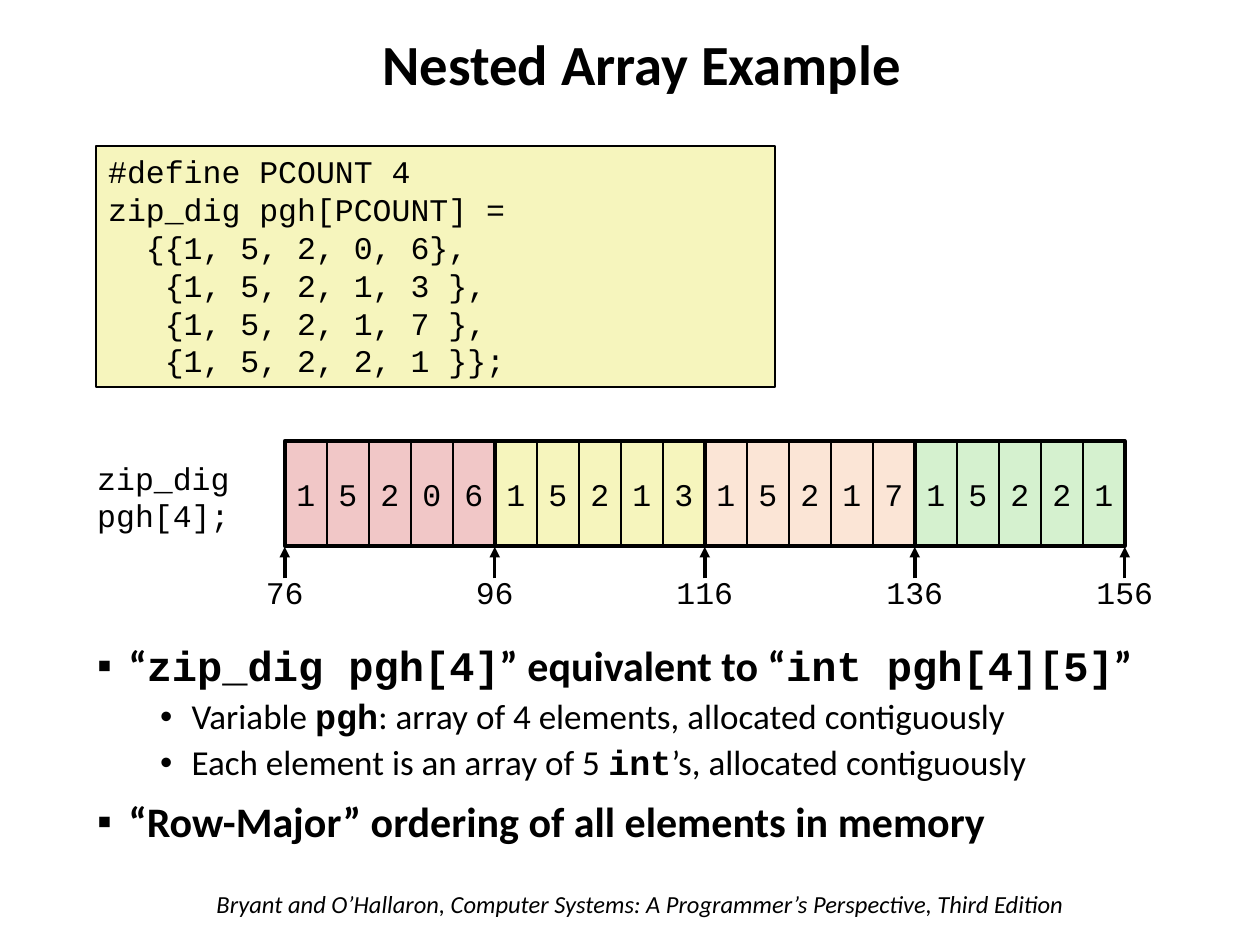
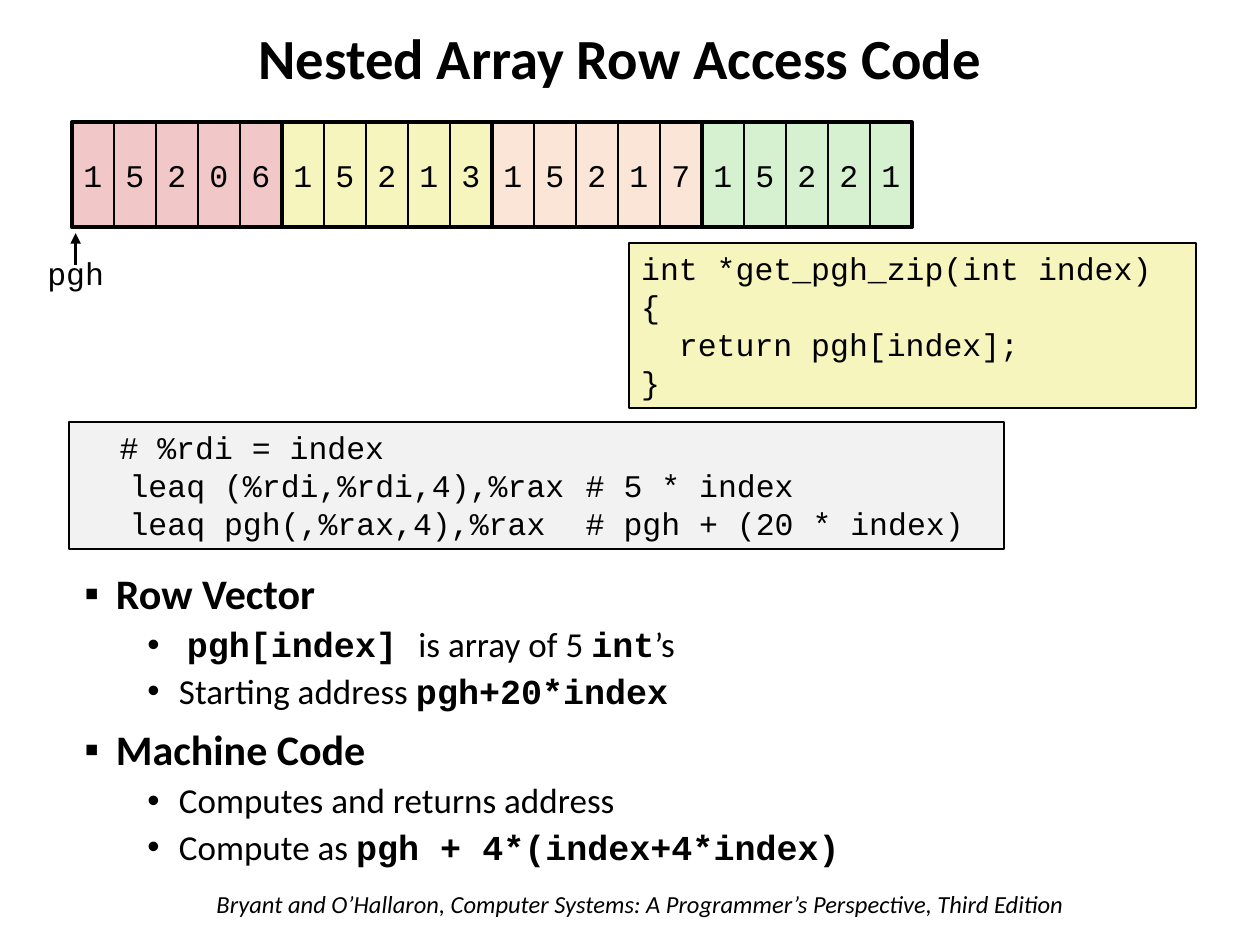
from lxml import etree
from pptx import Presentation
from pptx.dml.color import RGBColor
from pptx.enum.shapes import MSO_CONNECTOR, MSO_SHAPE
from pptx.enum.text import MSO_ANCHOR, MSO_AUTO_SIZE, PP_ALIGN
from pptx.oxml.ns import qn
from pptx.util import Inches, Pt

BLACK = RGBColor(0x00, 0x00, 0x00)
PINK = RGBColor(0xF1, 0xC7, 0xC7)
YELLOW = RGBColor(0xF6, 0xF5, 0xBD)
PEACH = RGBColor(0xFB, 0xE5, 0xD6)
GREEN = RGBColor(0xD5, 0xF1, 0xCF)
GRAY = RGBColor(0xF2, 0xF2, 0xF2)

TEXT_FONT = "Calibri"
CODE_FONT = "Courier New"
CODE_SIZE = 18
CHARACTER_WIDTH = 0.15
CELL_WIDTH = 1 / 3
CELL_HEIGHT = 5 / 6
ARROW_LENGTH = 0.25

FOOTER = "Bryant and O’Hallaron, Computer Systems: A Programmer’s Perspective, Third Edition"
ZIP_ROWS = [("15206", PINK), ("15213", YELLOW), ("15217", PEACH), ("15221", GREEN)]
LEVELS = [
    {"bullet": "▪", "margin": 0.25, "before": 10, "size": 24, "bold": True},
    {"bullet": "•", "margin": 0.75, "before": 5, "size": 20, "bold": False},
]

SLIDES = [
    {
        "title": ("Nested Array Example", (1.61, 0.22, 6.97, 0.63)),
        "body_box": (0.67, 5.07, 8.75, 2.08),
        "body": [
            (0, "“`zip_dig pgh[4]`” equivalent to “`int pgh[4][5]`”"),
            (1, "Variable `pgh`: array of 4 elements, allocated contiguously"),
            (1, "Each element is an array of 5 `int`’s, allocated contiguously"),
            (0, "“Row-Major” ordering of all elements in memory"),
        ],
        "code": [
            ((0.76, 1.16, 5.39, 1.91), YELLOW, [], [
                "#define PCOUNT 4",
                "zip_dig pgh[PCOUNT] =",
                "  {{1, 5, 2, 0, 6},",
                "   {1, 5, 2, 1, 3 },",
                "   {1, 5, 2, 1, 7 },",
                "   {1, 5, 2, 2, 1 }};",
            ]),
        ],
        "array": (2.26, 3.5),
        "declaration": ((0.67, 3.59, 1.25, 0.7), ["zip_dig", "pgh[4];"]),
        "pointers": [
            (2.26 + row * 5 * CELL_WIDTH, 4.34, 4.5, str(76 + 20 * row))
            for row in range(len(ZIP_ROWS) + 1)
        ],
    },
    {
        "title": ("Nested Array Row Access Code", (0.74, 0.17, 8.36, 0.63)),
        "body_box": (0.57, 4.5, 8.1, 2.67),
        "body": [
            (0, "Row Vector"),
            (1, " `pgh[index] `is array of 5 `int`’s"),
            (1, "Starting address `pgh+20*index`"),
            (0, "Machine Code"),
            (1, "Computes and returns address"),
            (1, "Compute as `pgh + 4*(index+4*index)`"),
        ],
        "code": [
            ((4.99, 1.93, 4.5, 1.31), YELLOW, [], [
                "int *get_pgh_zip(int index)",
                "{",
                "  return pgh[index];",
                "}",
            ]),
            ((0.55, 3.35, 7.42, 1.01), GRAY, [0.38, 2.88], [
                "  # %rdi = index",
                "\tleaq (%rdi,%rdi,4),%rax\t# 5 * index",
                "\tleaq pgh(,%rax,4),%rax\t# pgh + (20 * index)",
            ]),
        ],
        "array": (0.57, 0.97),
        "declaration": None,
        "pointers": [(0.6, 1.85, 1.97, "pgh")],
    },
]


def to_inches(box):
    return [Inches(length) for length in box]


def place(shape, box):
    shape.left, shape.top, shape.width, shape.height = to_inches(box)


def add_run(paragraph, text, size, font=TEXT_FONT, bold=False, italic=False):
    run = paragraph.add_run()
    run.text = text
    run.font.name = font
    run.font.size = Pt(size)
    run.font.bold = bold
    run.font.italic = italic
    run.font.color.rgb = BLACK


def paragraphs_for(frame, items):
    for index, item in enumerate(items):
        yield (frame.add_paragraph() if index else frame.paragraphs[0]), item


def add_tabs(paragraph, stops):
    tab_list = etree.SubElement(paragraph._p.get_or_add_pPr(), qn("a:tabLst"))
    for stop in stops:
        etree.SubElement(tab_list, qn("a:tab"), pos=str(Inches(stop)), algn="l")


def write_code(shape, lines, align=PP_ALIGN.LEFT, wrap=False, anchor=MSO_ANCHOR.TOP, stops=()):
    frame = shape.text_frame
    frame.word_wrap = wrap
    frame.vertical_anchor = anchor
    for paragraph, line in paragraphs_for(frame, lines):
        if stops:
            add_tabs(paragraph, stops)
        paragraph.alignment = align
        add_run(paragraph, line, CODE_SIZE, CODE_FONT)


def add_rectangle(slide, box, fill=None, line_width=1):
    shape = slide.shapes.add_shape(MSO_SHAPE.RECTANGLE, *to_inches(box))
    shape.shadow.inherit = False
    if fill is None:
        shape.fill.background()
    else:
        shape.fill.solid()
        shape.fill.fore_color.rgb = fill
    shape.line.color.rgb = BLACK
    shape.line.width = Pt(line_width)
    return shape


def add_label(slide, box, lines, align):
    write_code(slide.shapes.add_textbox(*to_inches(box)), lines, align)


def add_title(slide, text, box):
    title = slide.shapes.title
    place(title, box)
    frame = title.text_frame
    frame.auto_size = MSO_AUTO_SIZE.NONE
    frame.vertical_anchor = MSO_ANCHOR.MIDDLE
    paragraph = frame.paragraphs[0]
    paragraph.alignment = PP_ALIGN.CENTER
    paragraph.line_spacing = 0.9
    add_run(paragraph, text, 32.4, bold=True)


def add_body(slide, box, items):
    body = slide.placeholders[1]
    place(body, box)
    frame = body.text_frame
    frame.auto_size = MSO_AUTO_SIZE.NONE
    for index, (paragraph, (level, text)) in enumerate(paragraphs_for(frame, items)):
        style = LEVELS[level]
        properties = paragraph._p.get_or_add_pPr()
        properties.set("marL", str(Inches(style["margin"])))
        properties.set("indent", str(-Inches(0.25)))
        etree.SubElement(properties, qn("a:buChar"), char=style["bullet"])
        paragraph.level = level
        paragraph.line_spacing = 0.9
        paragraph.space_before = Pt(style["before"] if index else 0)
        for part, words in enumerate(text.split("`")):
            is_code = part % 2 == 1
            if words:
                font = CODE_FONT if is_code else TEXT_FONT
                add_run(paragraph, words, style["size"], font, is_code or style["bold"])


def add_array(slide, left, top):
    row_width = 5 * CELL_WIDTH
    for row, (digits, color) in enumerate(ZIP_ROWS):
        for column, digit in enumerate(digits):
            x = left + row * row_width + column * CELL_WIDTH
            cell = add_rectangle(slide, (x, top, CELL_WIDTH, CELL_HEIGHT), color)
            write_code(cell, [digit], PP_ALIGN.CENTER, anchor=MSO_ANCHOR.MIDDLE)
    for row in range(len(ZIP_ROWS)):
        add_rectangle(slide, (left + row * row_width, top, row_width, CELL_HEIGHT), line_width=2.25)


def add_pointer(slide, x, tip, label_top, label):
    ends = to_inches((x, tip + ARROW_LENGTH, x, tip))
    arrow = slide.shapes.add_connector(MSO_CONNECTOR.STRAIGHT, *ends)
    arrow.line.color.rgb = BLACK
    arrow.line.width = Pt(2)
    etree.SubElement(arrow.line._get_or_add_ln(), qn("a:tailEnd"), type="triangle")
    etree.SubElement(arrow._element.spPr, qn("a:effectLst"))
    width = len(label) * CHARACTER_WIDTH + 0.2
    add_label(slide, (x - width / 2, label_top, width, 0.4), [label], PP_ALIGN.CENTER)


def add_footer(slide):
    frame = slide.shapes.add_textbox(*to_inches((1.62, 7.01, 7.1, 0.34))).text_frame
    frame.word_wrap = True
    add_run(frame.paragraphs[0], FOOTER, 14, italic=True)


def build_slide(presentation, content):
    slide = presentation.slides.add_slide(presentation.slide_layouts[1])
    add_footer(slide)
    add_title(slide, *content["title"])
    add_body(slide, content["body_box"], content["body"])
    for box, fill, stops, lines in content["code"]:
        write_code(add_rectangle(slide, box, fill), lines, wrap=True, stops=stops)
    if content["declaration"]:
        add_label(slide, *content["declaration"], PP_ALIGN.RIGHT)
    for pointer in content["pointers"]:
        add_pointer(slide, *pointer)
    add_array(slide, *content["array"])


def main():
    presentation = Presentation()
    presentation.slide_width = Inches(10)
    presentation.slide_height = Inches(7.5)
    for content in SLIDES:
        build_slide(presentation, content)
    presentation.save("out.pptx")


if __name__ == "__main__":
    main()
